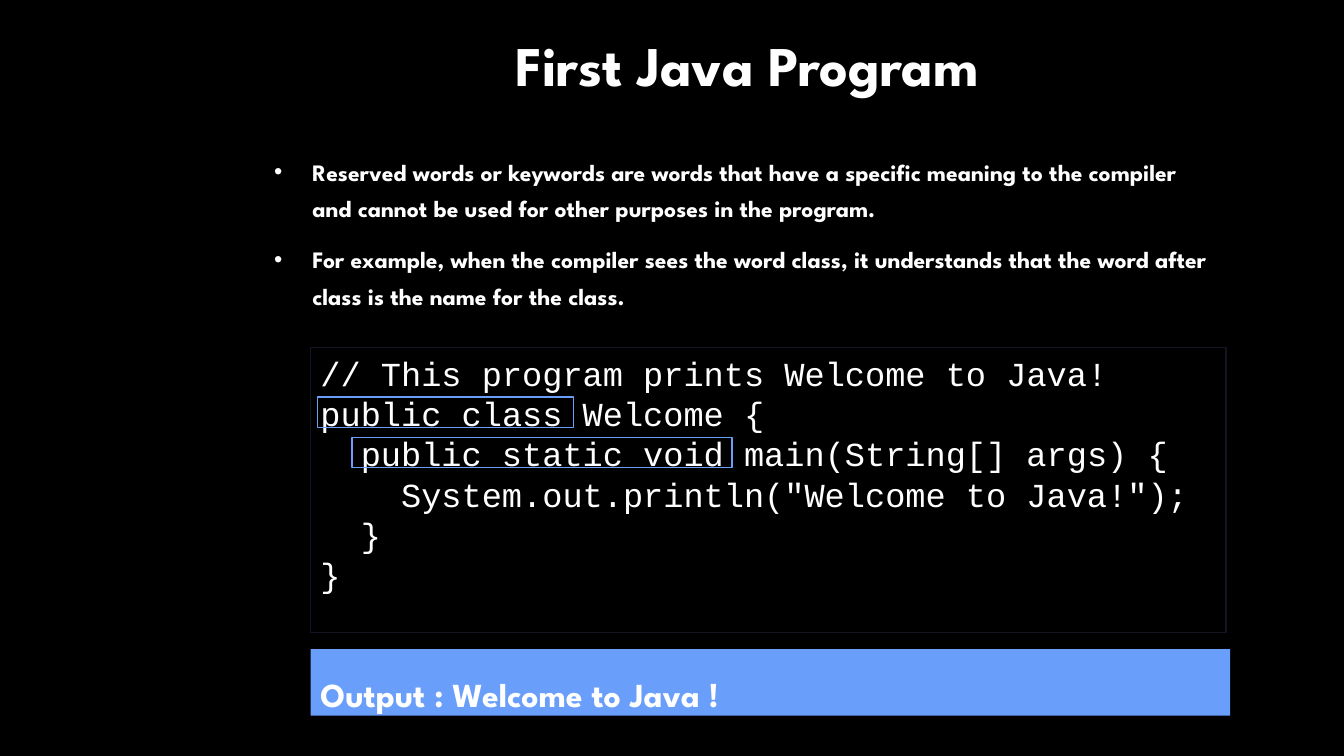
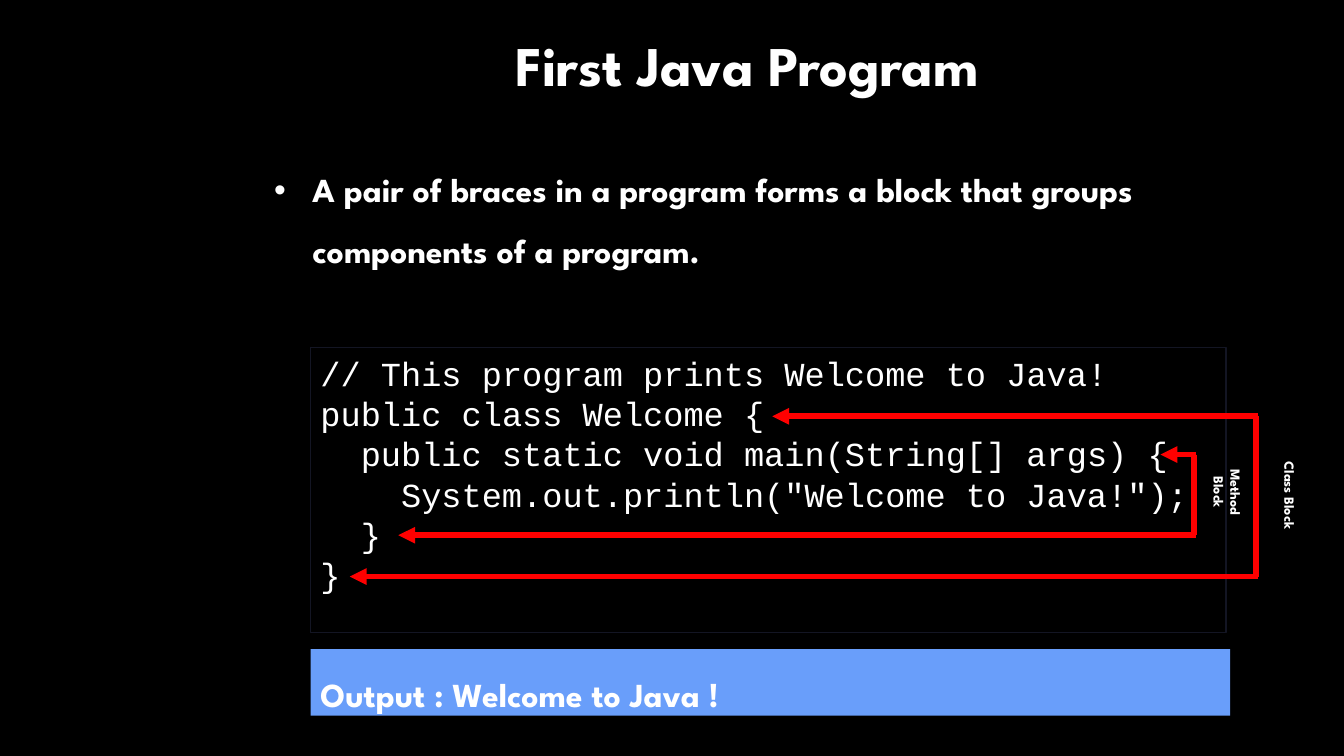
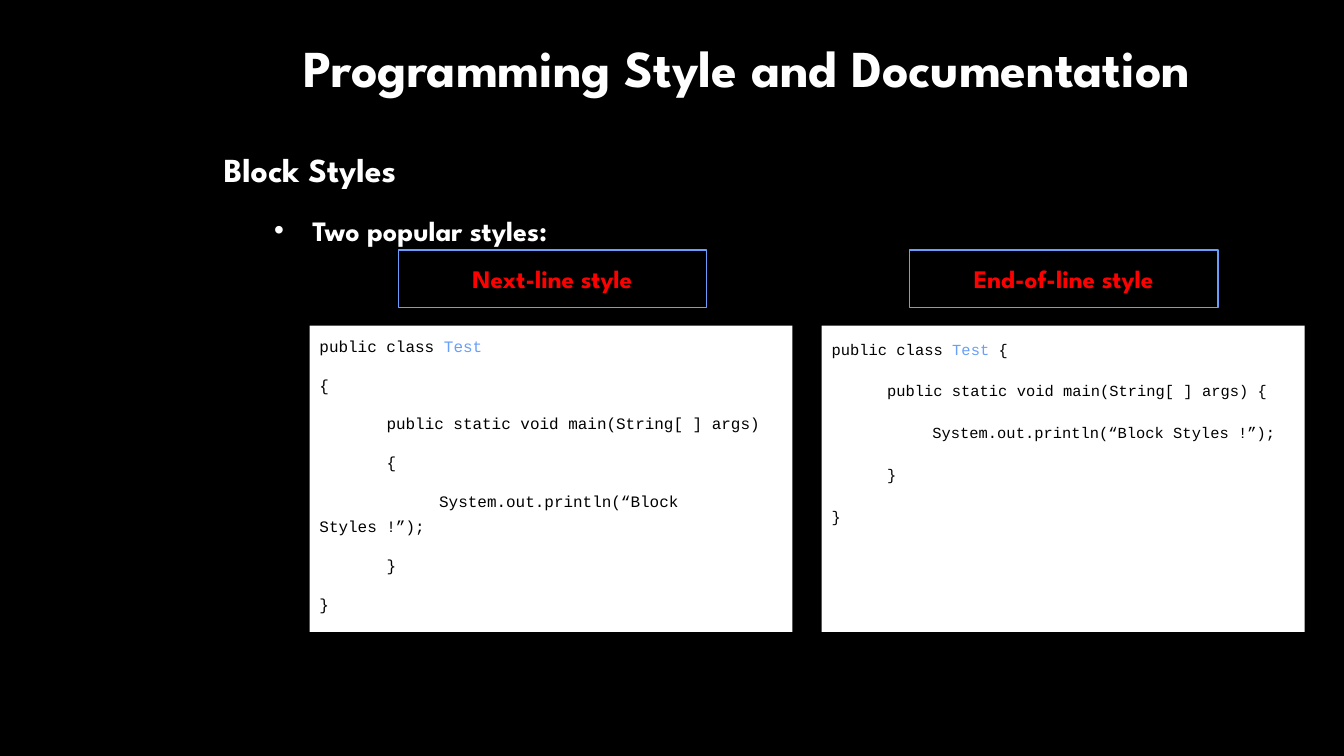
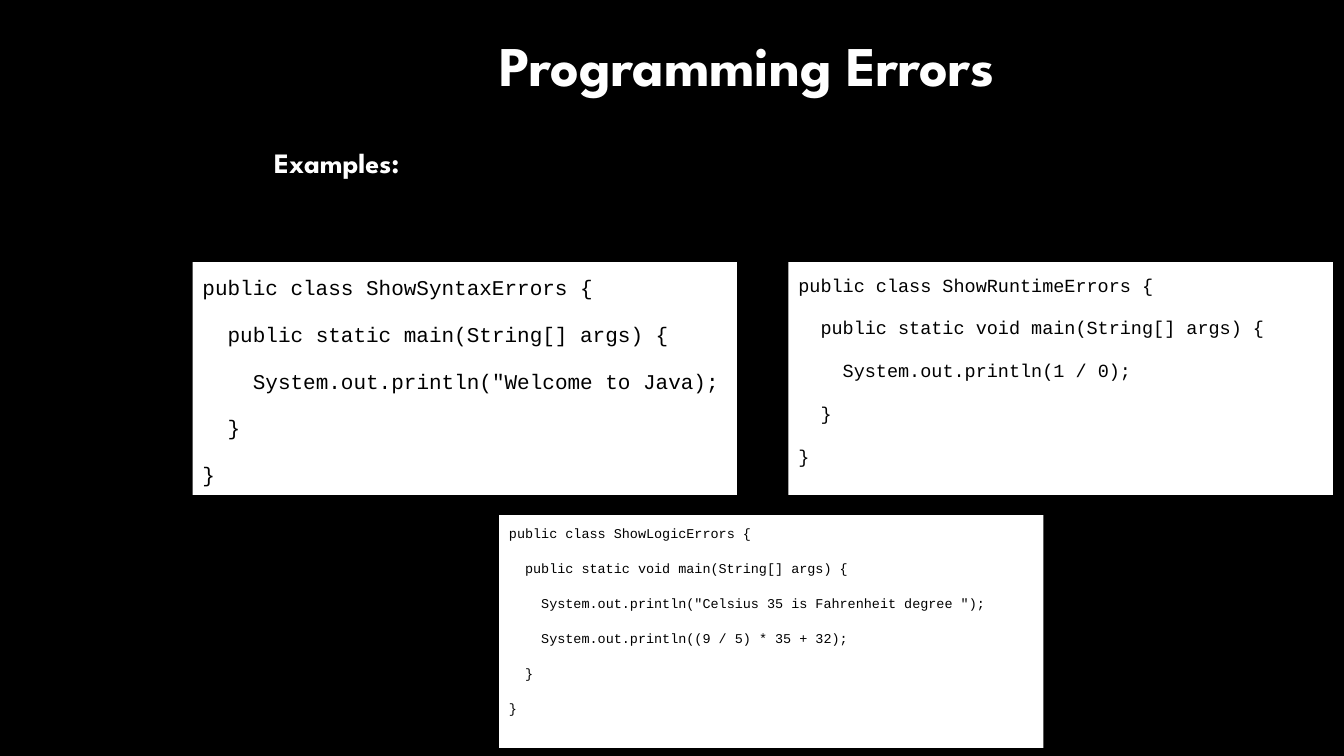
"""Build four slides on first steps in Java."""
import pptx
import pptx.util
import pptx.dml.color
import pptx.enum.shapes
import pptx.enum.text
import pptx.oxml
import pptx.oxml.ns

Inches = pptx.util.Inches
Pt = pptx.util.Pt
ALIGN = pptx.enum.text.PP_ALIGN
ANCHOR = pptx.enum.text.MSO_ANCHOR

BLACK, WHITE, RED = "000000", "FFFFFF", "FF0000"
BLUE, NAVY = "699EFA", "131523"
HEAD, MONO = "League Spartan", "Courier New"
BODY = (2.62, 1.43, 9.58, 1.85)
WIDE = (2.12, 1.23, 10.6, 5.21)

WELCOME = [
    (0, "// This program prints Welcome to Java!"),
    (0, "public class Welcome {"),
    (2, "public static void main(String[] args) {"),
    (4, 'System.out.println("Welcome to Java!");'),
    (2, "}"),
    (0, "}"),
]
NEXT = [
    (0, "public class ", ("Test", BLUE)),
    (0, "{"),
    (7, "public static void main(String[ ] args)"),
    (7, "{"),
    (12.5, "System.out.println(“Block Styles !”);"),
    (7, "}"),
    (0, "}"),
]
END = [
    (0, "public class ", ("Test", BLUE), " {"),
    (6, "public static void main(String[ ] args) {"),
    (10.9, "System.out.println(“Block Styles !”);"),
    (6, "}"),
    (0, "}"),
]
SYNTAX = [
    (0, "public class ShowSyntaxErrors {"),
    (2, "public static main(String[] args) {"),
    (4, 'System.out.println("Welcome to Java);'),
    (2, "}"),
    (0, "}"),
]
RUNTIME = [
    (0, "public class ShowRuntimeErrors {"),
    (2, "public static void main(String[] args) {"),
    (4, "System.out.println(1 / 0);"),
    (2, "}"),
    (0, "}"),
]
LOGIC = [
    (0, "public class ShowLogicErrors {"),
    (2, "public static void main(String[] args) {"),
    (4, 'System.out.println("Celsius 35 is Fahrenheit degree ");'),
    (4, "System.out.println((9 / 5) * 35 + 32);"),
    (2, "}"),
    (0, "}"),
]


def tint(code):
    """Turn a hex string into a colour."""
    return pptx.dml.color.RGBColor.from_string(code)


def setup(frame, anchor=ANCHOR.TOP):
    """Make a text frame wrap and set its anchor."""
    frame.word_wrap = True
    frame.auto_size = pptx.enum.text.MSO_AUTO_SIZE.NONE
    frame.vertical_anchor = anchor
    return frame


def box(slide, at, anchor=ANCHOR.TOP, turn=0):
    """Add a text box and return its frame."""
    shape = slide.shapes.add_textbox(*map(Inches, at))
    shape.rotation = turn
    return setup(shape.text_frame, anchor)


def rect(slide, at, fill=None, line=None, width=1, anchor=ANCHOR.TOP):
    """Add a rectangle and return its frame."""
    kind = pptx.enum.shapes.MSO_SHAPE.RECTANGLE
    shape = slide.shapes.add_shape(kind, *map(Inches, at))
    shape.shadow.inherit = False
    if fill:
        shape.fill.solid()
        shape.fill.fore_color.rgb = tint(fill)
    else:
        shape.fill.background()
    if line:
        shape.line.color.rgb = tint(line)
        shape.line.width = Pt(width)
    else:
        shape.line.fill.background()
    return setup(shape.text_frame, anchor)


def para(frame, runs, size, font=HEAD, color=WHITE, align=ALIGN.LEFT,
         space=1.0, before=0, left=0, first=0, dot=False):
    """Add a paragraph, run by run."""
    item = frame.paragraphs[0]
    if item.runs:
        item = frame.add_paragraph()
    item.alignment = align
    item.line_spacing = space
    item.space_before = Pt(before)
    props = item._p.get_or_add_pPr()
    props.set("marL", str(Inches(left)))
    props.set("indent", str(Inches(first)))
    if dot:
        face = pptx.oxml.ns.qn("a:buFont")
        mark = pptx.oxml.ns.qn("a:buChar")
        props.append(props.makeelement(face, {"typeface": "Arial"}))
        props.append(props.makeelement(mark, {"char": "•"}))
    for part in runs:
        text, shade = (part, color) if isinstance(part, str) else part
        run = item.add_run()
        run.text = text
        run.font.name = font
        run.font.size = Pt(size)
        run.font.bold = font == HEAD
        run.font.color.rgb = tint(shade)


def point(frame, text, size, space, before=10, left=0.38):
    """Add a bulleted paragraph."""
    para(frame, [text], size, space=space, before=before,
         left=left, first=-0.38, dot=True)


def code(frame, lines, size, color=BLACK, space=1.3, before=10):
    """Add code lines, indented by columns."""
    step = 0.6 * size / 72
    for cols, *runs in lines:
        para(frame, runs, size, MONO, color, space=space, before=before,
             first=cols * step)


def label(frame, text, size, color=WHITE):
    """Add one centred line of text."""
    para(frame, [text], size, color=color, align=ALIGN.CENTER)


def line(slide, start, end, head=False):
    """Add a red line, with an arrowhead at its end if asked."""
    kind = pptx.enum.shapes.MSO_CONNECTOR.STRAIGHT
    link = slide.shapes.add_connector(kind, *map(Inches, start + end))
    link.line.color.rgb = tint(RED)
    link.line.width = Pt(4)
    props = link._element.spPr
    props.append(props.makeelement(pptx.oxml.ns.qn("a:effectLst"), {}))
    if head:
        stroke = link.line._get_or_add_ln()
        tail = pptx.oxml.ns.qn("a:tailEnd")
        stroke.append(stroke.makeelement(tail, {"type": "triangle"}))


def brace(slide, x, top, base, upper, lower):
    """Join the two ends of a code block with arrows."""
    line(slide, (x + 0.02, top), (upper, top), True)
    line(slide, (x, top), (x, base))
    line(slide, (x + 0.02, base), (lower, base), True)


def start(deck, title, size=40, space=0.8):
    """Add a slide with a title."""
    slide = deck.slides.add_slide(deck.slide_layouts[6])
    para(box(slide, (2.11, 0.38, 10.6, 0.66)), [title], size,
         align=ALIGN.CENTER, space=space, before=10)
    return slide


def first(deck):
    """Add a slide with the first program and its output."""
    slide = start(deck, "First Java Program")
    para(rect(slide, (3.08, 6.44, 9.12, 0.66), BLUE),
         ["Output : Welcome to Java !"], 24, space=1.5, before=10)
    frame = rect(slide, (3.08, 3.45, 9.08, 2.83), line=NAVY, width=0.75)
    code(frame, WELCOME[:1], 24, WHITE, 1.0, 4.8)
    code(frame, WELCOME[1:], 24, WHITE, 1.0, 0)
    return slide


def words(deck):
    """Build the slide on reserved words."""
    slide = first(deck)
    frame = box(slide, BODY)
    for text in (
        "Reserved words or keywords are words that have a specific meaning "
        "to the compiler and cannot be used for other purposes in the program.",
        "For example, when the compiler sees the word class, it understands "
        "that the word after class is the name for the class.",
    ):
        point(frame, text, 16.8, 1.3)
    for at in ((3.15, 3.94, 2.54, 0.3), (3.49, 4.34, 3.77, 0.3)):
        rect(slide, at, line=BLUE)


def blocks(deck):
    """Build the slide on blocks."""
    slide = first(deck)
    point(box(slide, BODY), "A pair of braces in a program forms a block "
          "that groups components of a program.", 24, 1.5)
    for ends, at, text in (
        ((12.46, 4.13, 5.72, 7.66, 3.47), (12.33, 4.7, 0.93, 0.43),
         "Class Block"),
        ((11.84, 4.51, 5.31, 11.51, 3.95), (11.8, 4.67, 0.75, 0.43),
         "Method Block"),
    ):
        brace(slide, *ends)
        label(box(slide, at, ANCHOR.MIDDLE, 90), text, 10)


def styles(deck):
    """Build the slide on block styles."""
    slide = start(deck, "Programming Style and Documentation", 37, 0.9)
    frame = box(slide, WIDE)
    para(frame, ["Block Styles"], 24, space=1.5, before=10)
    point(frame, "Two popular styles:", 20, 1.5, 5, 0.88)
    for x, tag, text, lines, size, space in (
        (3.07, 3.95, "Next-line style", NEXT, 11.4, 1.3),
        (8.15, 9.02, "End-of-line style", END, 11, 1.5),
    ):
        code(rect(slide, (x, 3.23, 4.79, 3.04), WHITE), lines, size,
             space=space)
        label(rect(slide, (tag, 2.48, 3.06, 0.57), line=BLUE,
                   anchor=ANCHOR.MIDDLE), text, 18, RED)


def errors(deck):
    """Build the slide on errors."""
    slide = start(deck, "Programming Errors")
    para(box(slide, WIDE), ["Examples:"], 20, space=1.5, before=5, left=0.5)
    for x, y, lines, size in (
        (1.91, 2.6, SYNTAX, 15),
        (7.82, 2.6, RUNTIME, 13.2),
        (4.95, 5.11, LOGIC, 9.6),
    ):
        code(rect(slide, (x, y, 5.4, 2.31), WHITE), lines, size)


def main():
    """Build and save the deck."""
    deck = pptx.Presentation()
    deck.slide_width = Inches(13.33)
    deck.slide_height = Inches(7.5)
    back = deck.slide_master.background.fill
    back.solid()
    back.fore_color.rgb = tint(BLACK)
    for build in (words, blocks, styles, errors):
        build(deck)
    deck.save("out.pptx")


if __name__ == "__main__":
    main()
